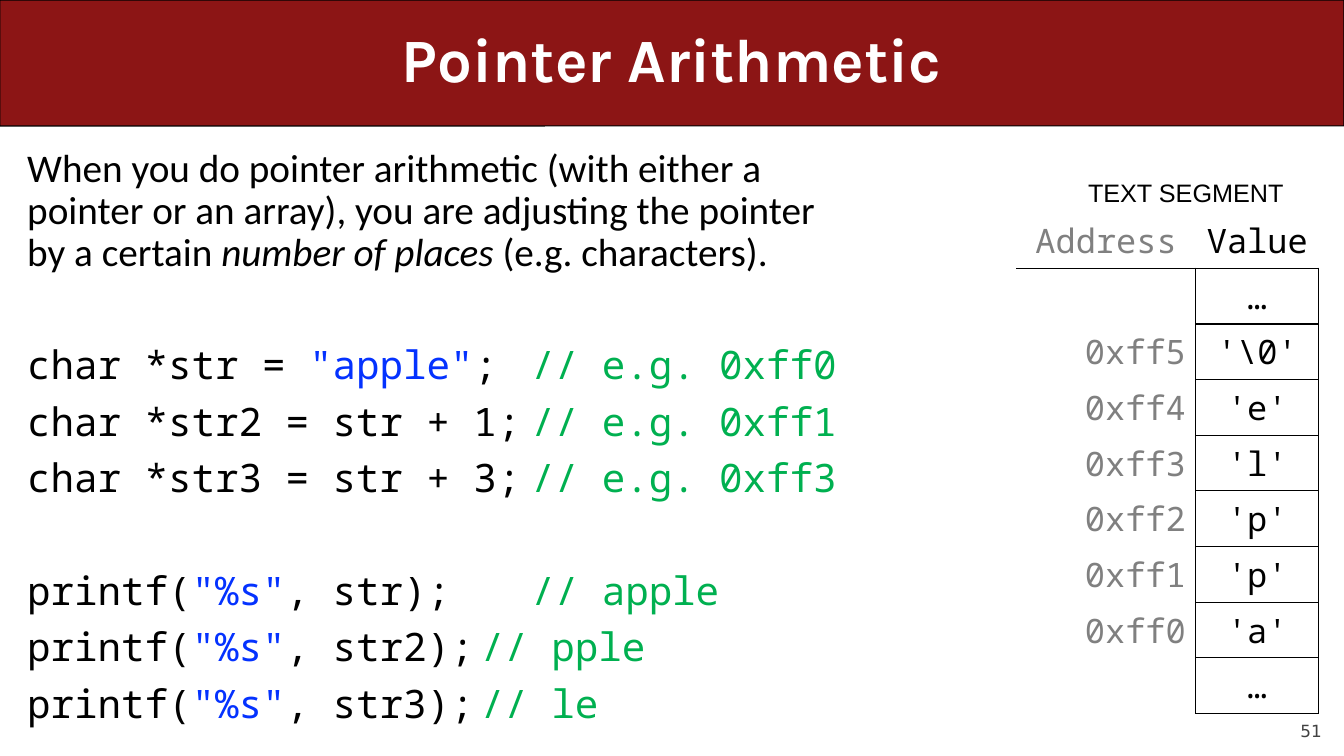
from pptx import Presentation
from pptx import util as u
from pptx.dml.color import RGBColor
from pptx.enum import shapes, text
from pptx.oxml import parse_xml
from pptx.oxml.ns import nsdecls

MONO = "Noto Sans Mono"
BLACK, GRAY, BLUE, GREEN = "000000", "808080", "0432FF", "00B050"
MIDDLE, BOTTOM = text.MSO_ANCHOR.MIDDLE, text.MSO_ANCHOR.BOTTOM
CENTER, LEFT, RIGHT = text.PP_ALIGN.CENTER, text.PP_ALIGN.LEFT, text.PP_ALIGN.RIGHT
INTRO = [
    ("When you do pointer arithmetic (with either a pointer or an array), "
     "you are adjusting the pointer by a certain ", {}),
    ("number of places", {"italic": True}),
    (" (e.g. characters).", {}),
]
DECLARATIONS = [
    [("char *str = ", BLACK), ('"apple"', BLUE), (";\t", BLACK), ("// e.g. 0xff0", GREEN)],
    [("char *str2 = str + 1;\t", BLACK), ("// e.g. 0xff1", GREEN)],
    [("char *str3 = str + 3;\t", BLACK), ("// e.g. 0xff3", GREEN)],
]
PRINTS = [("str", "\t\t", "apple"), ("str2", "\t", "pple"), ("str3", "\t", "le")]
MEMORY = [
    ("Address", "Value"), ("", "…"), ("0xff5", r"'\0'"), ("0xff4", "'e'"),
    ("0xff3", "'l'"), ("0xff2", "'p'"), ("0xff1", "'p'"), ("0xff0", "'a'"), ("", "…"),
]


def rgb(value):
    return RGBColor.from_string(value)


def assign(obj, **values):
    for name, value in values.items():
        setattr(obj, name, value)


def place(sp, box):
    assign(sp, **dict(zip(("left", "top", "width", "height"), map(u.Inches, box))))


def add_run(p, words, size, name, color, **values):
    r = p.add_run()
    r.text = words
    assign(r.font, size=u.Pt(size), name=name, **values)
    r.font.color.rgb = rgb(color)


def title_bar(s, box, words):
    x, y, w, h = box
    bar = s.shapes.add_shape(shapes.MSO_SHAPE.ROUNDED_RECTANGLE, *map(u.Inches, box))
    bar.adjustments[0] = 0.001
    bar.shadow.inherit = False
    bar.fill.solid()
    bar.fill.fore_color.rgb = rgb("8C1515")
    bar.line.color.rgb = rgb(BLACK)
    bar.line.width = u.Pt(0.75)
    s.shapes._spTree.insert(2, bar._element)
    title = s.shapes.title
    place(title, (x + 0.5, y, w - 1, h))
    tf = title.text_frame
    assign(tf, vertical_anchor=MIDDLE, auto_size=text.MSO_AUTO_SIZE.NONE)
    p = tf.paragraphs[0]
    assign(p, alignment=CENTER, line_spacing=0.9)
    add_run(p, words, 44, "Karla", "FFFFFF", bold=True)


def body_paragraph(tf, first, before):
    p = tf.paragraphs[0] if first else tf.add_paragraph()
    assign(p, alignment=LEFT, line_spacing=0.9, space_before=u.Pt(before))
    pPr = p._p.get_or_add_pPr()
    pPr.set("marL", "0")
    pPr.set("indent", "0")
    pPr.append(parse_xml(f"<a:buNone {nsdecls('a')}/>"))
    stops = "".join(f'<a:tab pos="{u.Inches(n)}" algn="l"/>' for n in (5, 6))
    pPr.append(parse_xml(f"<a:tabLst {nsdecls('a')}>{stops}</a:tabLst>"))
    return p


def code_body(s, box):
    body = s.placeholders[1]
    place(body, box)
    tf = body.text_frame
    assign(tf, word_wrap=True, auto_size=text.MSO_AUTO_SIZE.NONE)
    p = body_paragraph(tf, True, 10)
    for words, style in INTRO:
        add_run(p, words, 28, "Calibri", BLACK, **style)
    prints = [
        [("printf(", BLACK), ('"%s"', BLUE), (f", {var});{tabs}", BLACK), (f"// {result}", GREEN)]
        for var, tabs, result in PRINTS
    ]
    for block in (DECLARATIONS, prints):
        for i, line in enumerate(block):
            p = body_paragraph(tf, False, 10 if i else 50.5)
            for words, color in line:
                add_run(p, words, 28, MONO, color)


def set_borders(cell, sides):
    tcPr = cell._tc.get_or_add_tcPr()
    for i, side in enumerate("LRTB"):
        fill = (f'<a:solidFill><a:srgbClr val="{BLACK}"/></a:solidFill>'
                if side in sides else "<a:noFill/>")
        tcPr.insert(i, parse_xml(f'<a:ln{side} {nsdecls("a")} w="12700">{fill}</a:ln{side}>'))


def label(s, box, words, size, name, color, **frame):
    sp = s.shapes.add_textbox(*map(u.Inches, box))
    assign(sp.text_frame, **frame)
    p = sp.text_frame.paragraphs[0]
    p.alignment = RIGHT
    add_run(p, words, size, name, color)


def memory_table(s, box):
    x, y, w, h = box
    label(s, (x + 0.59, y - 0.4, 2.16, 0.4), "TEXT SEGMENT", 18, "Arial", BLACK, word_wrap=False)
    table = s.shapes.add_table(len(MEMORY), 2, *map(u.Inches, box)).table
    assign(table, first_row=False, horz_banding=False)
    for column, width in zip(table.columns, (1.78, w - 1.78)):
        column.width = u.Inches(width)
    for i, row in enumerate(MEMORY):
        table.rows[i].height = u.Inches(h / len(MEMORY))
        for j, words in enumerate(row):
            cell = table.cell(i, j)
            address = i > 0 and j == 0
            cell.vertical_anchor = BOTTOM if address else MIDDLE
            cell.fill.background()
            if i == 0:
                sides = "B"
            elif j == 1:
                sides = "LRTB"
            else:
                sides = "RT" if i == 1 else "R"
            set_borders(cell, sides)
            if words:
                p = cell.text_frame.paragraphs[0]
                p.alignment = RIGHT if address else CENTER
                add_run(p, words, 24, MONO, BLACK if j else GRAY)


def main():
    prs = Presentation()
    assign(prs, slide_width=u.Inches(13.33), slide_height=u.Inches(7.5))
    s = prs.slides.add_slide(prs.slide_layouts[1])
    title_bar(s, (0, 0, 13.33, 1.25), "Pointer Arithmetic")
    code_body(s, (0.17, 1.42, 8.42, 6.08))
    memory_table(s, (10.08, 2.11, 3, 4.97))
    label(s, (12, 6.95, 1.11, 0.4), "51", 12, "DejaVu Sans", "424242", vertical_anchor=BOTTOM,
          margin_left=0, margin_right=0, margin_top=0, margin_bottom=0, word_wrap=True)
    prs.save("out.pptx")


if __name__ == "__main__":
    main()
